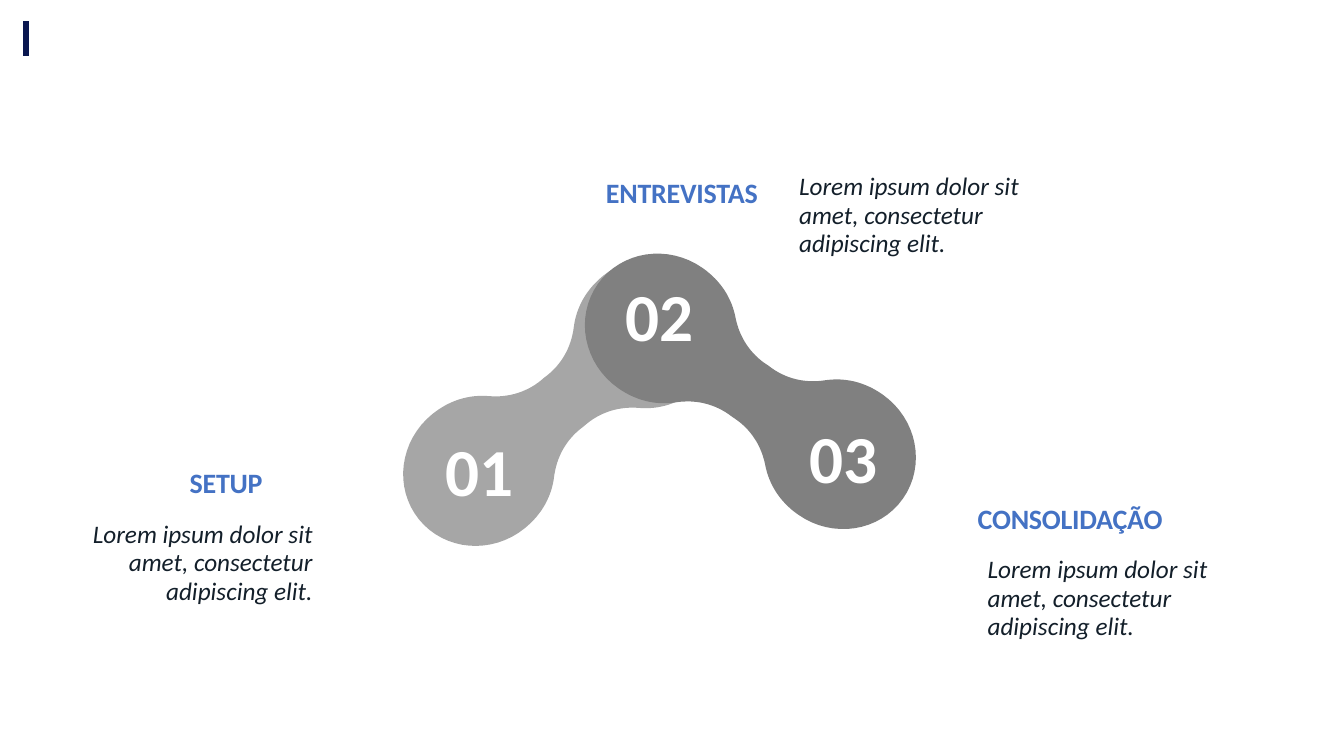
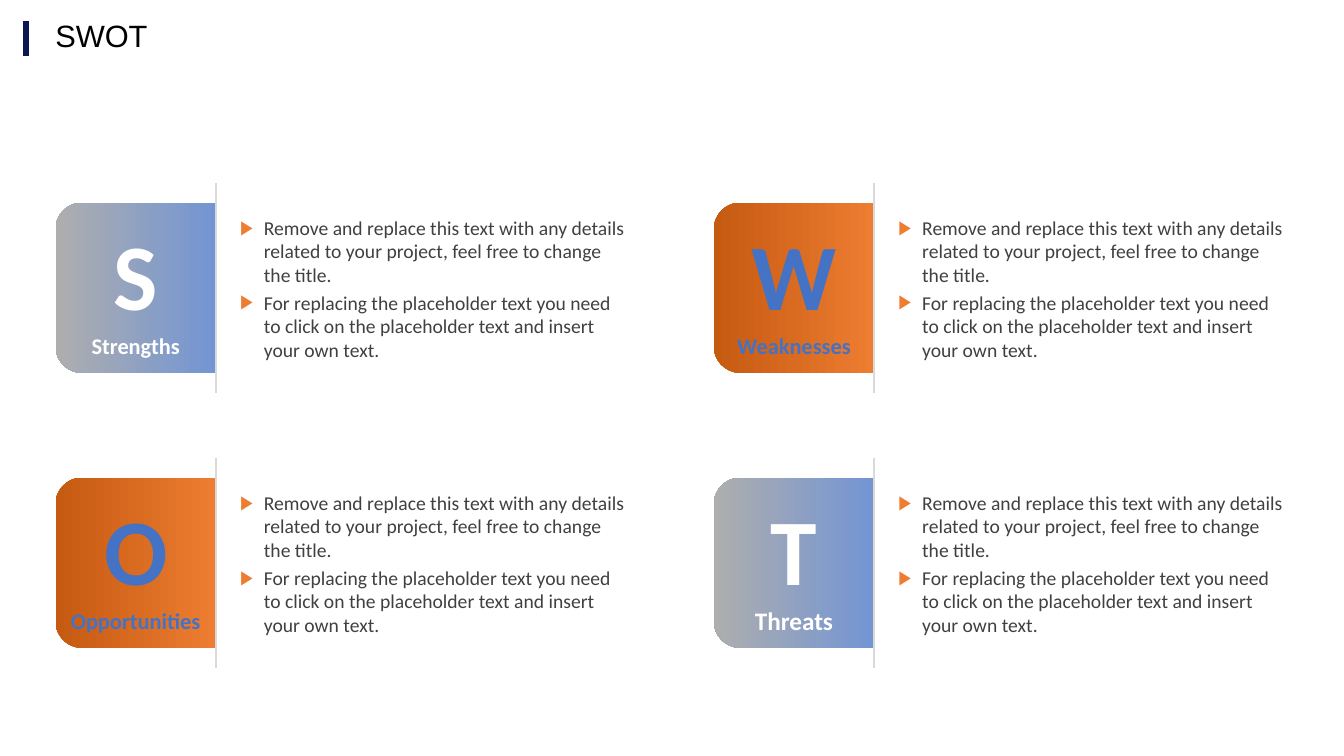
import lxml.etree
import pptx
import pptx.dml.color
import pptx.enum.shapes
import pptx.enum.text
import pptx.oxml.ns
import pptx.util

Cm = pptx.util.Cm
Pt = pptx.util.Pt
ALIGN = pptx.enum.text.PP_ALIGN
ANCHOR = pptx.enum.text.MSO_ANCHOR
SHAPE = pptx.enum.shapes.MSO_SHAPE
qn = pptx.oxml.ns.qn

COLORS = {
    "navy": "0A1750", "blue": "4472C4", "orange": "ED7D31", "rust": "C55A11",
    "sky": "7395D3", "silver": "AEAEAE", "light": "A6A6A6", "mid": "808080",
    "rule": "D9D9D9", "ink": "131F2A", "body": "404040", "white": "FFFFFF",
    "black": "000000",
}
LOREM = "Lorem ipsum dolor sit amet, consectetur adipiscing elit."
DETAILS = [
    "Remove and replace this text with any details related to your project, "
    "feel free to change the title.",
    "For replacing the placeholder text you need to click on the placeholder "
    "text and insert your own text.",
]
LOBE_CURVES = [
    [(0, 0.79), (0.56, 0.76), (1.02, 0.97), (1.37, 1.3)],
    [(1.37, 1.3), (1.73, 1.65), (2.21, 1.85), (2.77, 1.85)],
    [(2.77, 1.85), (3.84, 1.85), (4.7, 1.02), (4.7, 0)],
]


def rgb(name):
    return pptx.dml.color.RGBColor.from_string(COLORS[name])


def place(sp, x, y, w, h):
    sp.left, sp.top, sp.width, sp.height = Cm(x), Cm(y), Cm(w), Cm(h)


def style(p, size, color, font="Calibri", bold=False, italic=False):
    for r in p.runs:
        f = r.font
        f.name, f.size, f.bold, f.italic = font, Pt(size), bold, italic
        f.color.rgb = rgb(color)


def frame(sp, inset, anchor):
    tf = sp.text_frame
    tf.word_wrap = True
    tf.auto_size = pptx.enum.text.MSO_AUTO_SIZE.NONE
    tf.vertical_anchor = anchor
    if not inset:
        tf.margin_left = tf.margin_right = tf.margin_top = tf.margin_bottom = 0
    return tf


def add_text(s, box, text, size, color, align=ALIGN.LEFT, anchor=ANCHOR.TOP,
             inset=False, **font):
    sp = s.shapes.add_textbox(*map(Cm, box))
    p = frame(sp, inset, anchor).paragraphs[0]
    p.text = text
    p.alignment = align
    style(p, size, color, **font)
    return p


def add_rule(s, x, top, bottom, color, width):
    line = s.shapes.add_connector(
        pptx.enum.shapes.MSO_CONNECTOR.STRAIGHT, Cm(x), Cm(top), Cm(x), Cm(bottom))
    line.line.color.rgb = rgb(color)
    line.line.width = Pt(width)
    lxml.etree.SubElement(line.element.spPr, qn("a:effectLst"))
    return line


def add_master_accent(prs, s):
    line = add_rule(s, 0.66, 0.53, 1.42, "navy", 4.5)
    prs.slide_master.shapes.element.append(line.element)


def set_title(s, text):
    sp = s.shapes.title
    place(sp, 1.14, 0, 21.8, 1.88)
    p = frame(sp, True, ANCHOR.MIDDLE).paragraphs[0]
    p.text = text
    p.alignment = ALIGN.LEFT
    p.line_spacing = 0.9
    style(p, 22, "black", font="Arial")


def bezier(points, t):
    weights = ((1 - t) ** 3, 3 * t * (1 - t) ** 2, 3 * t * t * (1 - t), t ** 3)
    return tuple(sum(k * pt[i] for k, pt in zip(weights, points)) for i in (0, 1))


def dumbbell_outline(steps=16):
    quarter = [bezier(c, i / steps) for c in LOBE_CURVES for i in range(steps)]
    quarter.append(LOBE_CURVES[-1][-1])
    half = quarter + [(x, -y) for x, y in quarter[-2::-1]]
    return half + [(-x, -y) for x, y in half]


def add_dumbbell(s, cx, cy, angle, color):
    points = [(Cm(cx + x), Cm(cy + y)) for x, y in dumbbell_outline()]
    builder = s.shapes.build_freeform(*points[0], scale=1.0)
    builder.add_line_segments(points[1:], close=True)
    sp = builder.convert_to_shape()
    sp.rotation = angle
    sp.shadow.inherit = False
    sp.fill.solid()
    sp.fill.fore_color.rgb = rgb(color)
    sp.line.fill.background()


def add_step(s, number, number_at, name, name_at, note_at, align):
    add_text(s, (*number_at, 3.56, 3.35), number, 48, "white", ALIGN.CENTER,
             ANCHOR.MIDDLE, bold=True)
    p = add_text(s, (*name_at, 5.74, 1.42), name, 20, "blue", bold=True)
    p.runs[0]._r.get_or_add_rPr().set("spc", "-20")
    p = add_text(s, (*note_at, 6.43, 1.96), LOREM, 18, "ink", align,
                 inset=True, italic=True)
    p.line_spacing = 0.95


def fill_list(sp, items):
    tf = frame(sp, False, ANCHOR.MIDDLE)
    for i, item in enumerate(items):
        p = tf.paragraphs[0] if i == 0 else tf.add_paragraph()
        p.text = item
        pPr = p._p.get_or_add_pPr()
        pPr.set("marL", str(Cm(0.6)))
        pPr.set("indent", str(-Cm(0.6)))
        clr = lxml.etree.SubElement(pPr, qn("a:buClr"))
        lxml.etree.SubElement(clr, qn("a:srgbClr"), val=COLORS["orange"])
        lxml.etree.SubElement(pPr, qn("a:buFont"), typeface="Arial")
        lxml.etree.SubElement(pPr, qn("a:buChar"), char="▶")
        p.alignment = ALIGN.LEFT
        p.space_before = Pt(3 if i else 0)
        style(p, 14, "body")


def add_quadrant(s, sp, x, y, name, label_size, stops, color):
    w, h = 4.29, 4.04
    tile = s.shapes.add_shape(
        SHAPE.ROUND_2_SAME_RECTANGLE,
        Cm(x + 2.02 - w / 2), Cm(y + 2.65 - h / 2), Cm(w), Cm(h))
    tile.rotation = 270
    tile.shadow.inherit = False
    tile.line.fill.background()
    tile.fill.gradient()
    tile.fill.gradient_angle = 90
    for stop, stop_color, position in zip(tile.fill.gradient_stops, stops, (0, 1)):
        stop.color.rgb = rgb(stop_color)
        stop.position = position
    place(sp, x + 4.65, y + 0.81, 9.86, 3.71)
    fill_list(sp, DETAILS)
    add_rule(s, x + 4.04, y, y + 5.3, "rule", 1)
    for top, height, text, size in ((0.84, 2.87, name[0], 67),
                                    (3.76, 0.69, name, label_size)):
        add_text(s, (x + 0.14, y + top, 3.76, height), text, size, color,
                 ALIGN.CENTER, ANCHOR.MIDDLE, bold=True)


def steps_slide(prs):
    s = prs.slides.add_slide(prs.slide_layouts.get_by_name("Blank"))
    add_master_accent(prs, s)
    add_dumbbell(s, 14.21, 10.13, 141, "light")
    add_dumbbell(s, 18.91, 9.86, 215.1, "mid")
    add_step(s, "01", (10.31, 10.16), "SETUP", (4.78, 11.73), (1.7, 12.98), ALIGN.RIGHT)
    add_step(s, "02", (14.83, 6.25), "ENTREVISTAS", (15.27, 4.42), (19.89, 4.22), ALIGN.LEFT)
    add_step(s, "03", (19.48, 9.83), "CONSOLIDAÇÃO", (24.64, 12.65), (24.64, 13.87), ALIGN.LEFT)


def swot_slide(prs):
    s = prs.slides.add_slide(prs.slide_layouts.get_by_name("Comparison"))
    set_title(s, "SWOT")
    cool = ("sky", "silver"), "white"
    warm = ("orange", "rust"), "blue"
    quadrants = [("Strengths", 16, cool), ("Weaknesses", 16, warm),
                 ("Opportunities", 16, warm), ("Threats", 18, cool)]
    bodies = [sp for sp in s.placeholders if sp.placeholder_format.idx > 0]
    for i, (sp, (name, size, look)) in enumerate(zip(bodies, quadrants)):
        row, col = divmod(i, 2)
        add_quadrant(s, sp, 1.4 + 16.59 * col, 4.6 + 6.93 * row, name, size, *look)


def main():
    prs = pptx.Presentation()
    prs.slide_width, prs.slide_height = Cm(33.87), Cm(19.05)
    steps_slide(prs)
    swot_slide(prs)
    prs.save("out.pptx")


if __name__ == "__main__":
    main()
